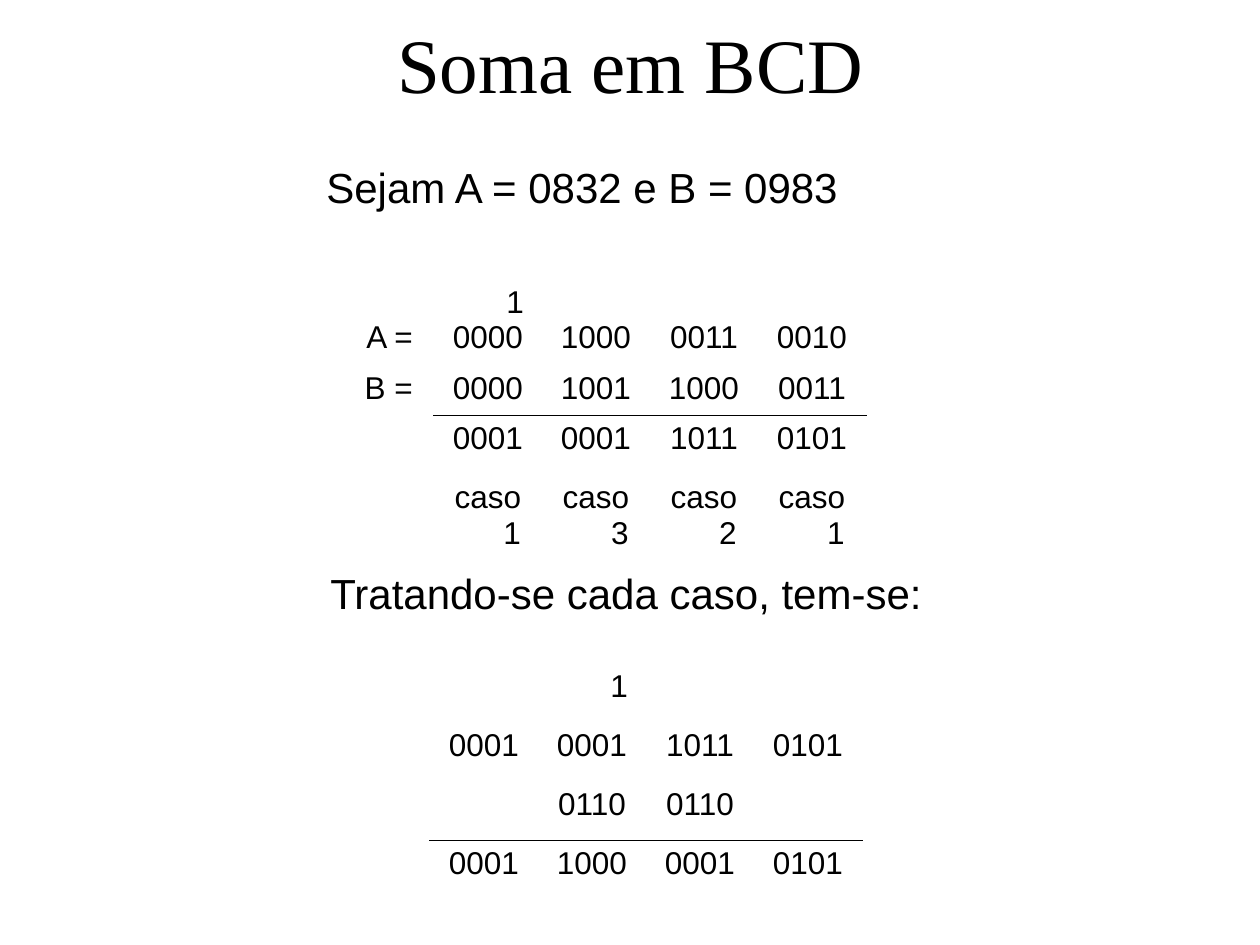
import pptx
import pptx.dml.color
import pptx.enum.text
import pptx.oxml
import pptx.oxml.ns
import pptx.util

PP_ALIGN = pptx.enum.text.PP_ALIGN
ANCHOR = pptx.enum.text.MSO_ANCHOR


def color(value):
    return pptx.dml.color.RGBColor.from_string(value)


def px(n):
    return pptx.util.Emu(round(n * 914400 / 126))


class Deck:
    """Holds the text style and the current slide, and adds elements to it."""

    ink = "000000"
    font = "Arial"
    carry = "1"

    def __init__(self, slide):
        self.s = slide

    def style(self, p, size, font=None, align=PP_ALIGN.LEFT):
        p.alignment = align
        for r in p.runs:
            r.font.name = font or self.font
            r.font.size = pptx.util.Pt(size)
            r.font.color.rgb = color(self.ink)

    def place(self, sp, x, y, w, h):
        sp.left, sp.top, sp.width, sp.height = map(px, (x, y, w, h))

    def title(self, text, *box):
        sp = self.s.shapes.title
        self.place(sp, *box)
        tf = sp.text_frame
        tf.text = text
        tf.vertical_anchor = ANCHOR.MIDDLE
        self.style(tf.paragraphs[0], 44, "Times New Roman", PP_ALIGN.CENTER)

    def text(self, text, *box):
        tf = self.s.shapes.add_textbox(*map(px, box)).text_frame
        tf.text = text
        tf.word_wrap = False
        tf.auto_size = pptx.enum.text.MSO_AUTO_SIZE.SHAPE_TO_FIT_TEXT
        self.style(tf.paragraphs[0], 24)

    def border(self, cell, side):
        cell._tc.get_or_add_tcPr().append(pptx.oxml.parse_xml(
            f'<a:{side} {pptx.oxml.ns.nsdecls("a")} w="762"><a:solidFill>'
            f'<a:srgbClr val="{self.ink}"/></a:solidFill></a:{side}>'))

    def cell(self, cell, text, align, hang):
        cell.text = text
        cell.fill.background()
        for p in cell.text_frame.paragraphs:
            self.style(p, 18, align=align)
            is_carry = p.text == self.carry
            indent = 54 if is_carry else hang
            pPr = p._p.get_or_add_pPr()
            pPr.set("marL", str(px(indent)))
            pPr.set("indent", str(0 if is_carry else -px(indent)))

    def table(self, x, y, cols, heights, rows, sum_row, hang=0):
        t = self.s.shapes.add_table(len(rows), len(cols), px(x), px(y),
                                    px(sum(cols)), px(sum(heights))).table
        t.first_row = t.horz_banding = False
        for col, w in zip(t.columns, cols):
            col.width = px(w)
        for i, (row, h) in enumerate(zip(rows, heights)):
            t.rows[i].height = px(h)
            for j, text in enumerate(row):
                c = t.cell(i, j)
                if j and i in (sum_row - 1, sum_row):
                    self.border(c, "lnT" if i == sum_row else "lnB")
                self.cell(c, text, PP_ALIGN.CENTER if j else PP_ALIGN.RIGHT, hang)
        return t


def main():
    prs = pptx.Presentation()
    prs.slide_width, prs.slide_height = px(1260), px(945)
    d = Deck(prs.slides.add_slide(prs.slide_layouts[5]))
    d.title("Soma em BCD", 95, 21, 1071, 84)

    t = d.table(193, 277, [241] + [108] * 4, [88, 50, 59, 88], [
        ["A = ", "1\n0000", "1000", "0011", "0010"],
        ["B = ", "0000", "1001", "1000", "0011"],
        ["", "0001", "0001", "1011", "0101"],
        ["", "caso 1", "caso 3", "caso 2", "caso 1"],
    ], sum_row=2, hang=48)
    for c in t.rows[0].cells:
        c.vertical_anchor = ANCHOR.BOTTOM
        c.margin_bottom = px(10)

    d.table(188, 663, [242] + [108] * 4, [59] * 4, [
        ["", "", "1", "", ""],
        ["", "0001", "0001", "1011", "0101"],
        ["", "", "0110", "0110", ""],
        ["", "0001", "1000", "0001", "0101"],
    ], sum_row=3)

    d.text("Sejam A = 0832 e B = 0983", 314, 155, 541, 63)
    d.text("Tratando-se cada caso, tem-se:", 318, 561, 617, 63)
    prs.save("out.pptx")


if __name__ == "__main__":
    main()
